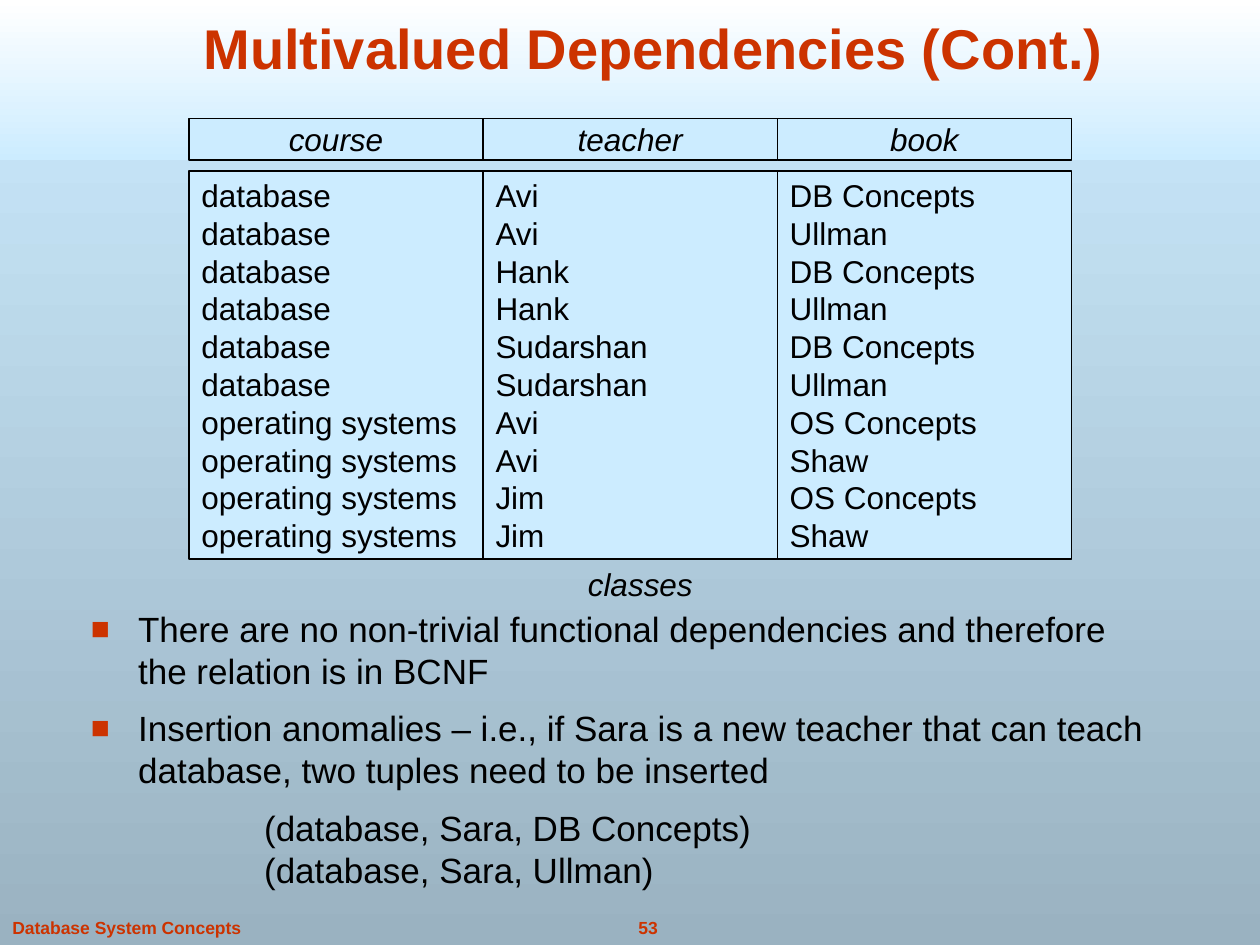
from lxml import etree
from pptx import Presentation
from pptx import util as u
from pptx.dml.color import RGBColor
from pptx.enum import shapes, text
from pptx.oxml.ns import qn

RED = RGBColor(0xCC, 0x33, 0x00)
BLACK = RGBColor(0x00, 0x00, 0x00)
WHITE = RGBColor(0xFF, 0xFF, 0xFF)
PALE_BLUE = RGBColor(0xCC, 0xEC, 0xFF)
GREY_BLUE = RGBColor(0x9A, 0xB2, 0xC1)

FONT = "Arial"
LEFT, CENTER = text.PP_ALIGN.LEFT, text.PP_ALIGN.CENTER
TOP, MIDDLE, BOTTOM = text.MSO_ANCHOR.TOP, text.MSO_ANCHOR.MIDDLE, text.MSO_ANCHOR.BOTTOM

# Relation "classes": each course is taught by every teacher with every book
OFFERINGS = [
    ("database", ["Avi", "Hank", "Sudarshan"], ["DB Concepts", "Ullman"]),
    ("operating systems", ["Avi", "Jim"], ["OS Concepts", "Shaw"]),
]
ATTRIBUTES = ["course", "teacher", "book"]
TUPLES = [(course, teacher, book)
          for course, teachers, books in OFFERINGS
          for teacher in teachers
          for book in books]

TABLE_LEFT, COLUMN_WIDTH = 3.81, 5.93
HEADER_TOP, HEADER_HEIGHT = 2.39, 0.84
ROWS_TOP, ROWS_HEIGHT = 3.45, 7.82

REMARKS = [
    "There are no non-trivial functional dependencies and therefore "
    "the relation is in BCNF",
    "Insertion anomalies – i.e., if Sara is a new teacher that can teach "
    "database, two tuples need to be inserted",
]
NEW_TUPLES = "(database, Sara, DB Concepts)\v(database, Sara, Ullman)"


def write(shape, lines, size=18, color=BLACK, bold=False, italic=False,
          align=LEFT, anchor=TOP, wrap=False, before=0):
    """Fill a shape with one paragraph per line and format it."""
    frame = shape.text_frame
    frame.text = "\n".join(lines)
    frame.auto_size = text.MSO_AUTO_SIZE.NONE
    frame.word_wrap = wrap
    frame.vertical_anchor = anchor
    for paragraph in frame.paragraphs:
        paragraph.alignment = align
        paragraph.space_before = u.Pt(before)
        for run in paragraph.runs:
            font = run.font
            font.name, font.size = FONT, u.Pt(size)
            font.bold, font.italic = bold, italic
            font.color.rgb = color
    return frame


def place(shape, left, top, width, height):
    shape.left, shape.top = u.Cm(left), u.Cm(top)
    shape.width, shape.height = u.Cm(width), u.Cm(height)


def fade_down(fill, upper, lower):
    """Vertical gradient from the upper to the lower colour."""
    fill.gradient()
    fill.gradient_angle = 270
    for stop, color in zip(fill.gradient_stops, (upper, lower)):
        stop.color.rgb = color


def add_box(slide, left, top, width, height):
    box = slide.shapes.add_shape(shapes.MSO_SHAPE.RECTANGLE, u.Cm(left),
                                 u.Cm(top), u.Cm(width), u.Cm(height))
    box.shadow.inherit = False
    return box


def add_cell(slide, column, top, height, lines, **text_format):
    cell = add_box(slide, TABLE_LEFT + column * COLUMN_WIDTH, top,
                   COLUMN_WIDTH, height)
    cell.fill.solid()
    cell.fill.fore_color.rgb = PALE_BLUE
    cell.line.color.rgb = BLACK
    cell.line.width = u.Pt(0.75)
    write(cell, lines, anchor=MIDDLE, **text_format)


def add_label(slide, left, top, width, height, label, **text_format):
    box = slide.shapes.add_textbox(u.Cm(left), u.Cm(top), u.Cm(width), u.Cm(height))
    write(box, [label], **text_format)


def set_indent(paragraph, margin, first_line, bullet=None):
    properties = paragraph._p.get_or_add_pPr()
    properties.set("marL", str(u.Cm(margin)))
    properties.set("indent", str(u.Cm(first_line)))
    if bullet is None:
        etree.SubElement(properties, qn("a:buNone"))
        return
    bullet_color = etree.SubElement(properties, qn("a:buClr"))
    etree.SubElement(bullet_color, qn("a:srgbClr"), val=str(RED))
    etree.SubElement(properties, qn("a:buSzPct"), val="90000")
    etree.SubElement(properties, qn("a:buFont"), typeface=FONT)
    etree.SubElement(properties, qn("a:buChar"), char=bullet)


def add_backdrop(slide):
    fade_down(slide.background.fill, PALE_BLUE, GREY_BLUE)
    band = add_box(slide, 0, 0, 25.4, 3.23)
    fade_down(band.fill, WHITE, PALE_BLUE)
    band.line.fill.background()
    slide.shapes._spTree.insert(2, band._element)  # behind the placeholders


def add_relation(slide):
    for column, (attribute, values) in enumerate(zip(ATTRIBUTES, zip(*TUPLES))):
        add_cell(slide, column, HEADER_TOP, HEADER_HEIGHT, [attribute],
                 italic=True, align=CENTER)
        add_cell(slide, column, ROWS_TOP, ROWS_HEIGHT, values)
    add_label(slide, 11.6, 11.26, 2.62, 1.02, "classes", italic=True)


def fill_remarks(body):
    place(body, 1.58, 12.12, 21.8, 6.42)
    frame = write(body, REMARKS + [NEW_TUPLES], size=20, wrap=True, before=8.8)
    *remarks, new_tuples = frame.paragraphs
    for remark in remarks:
        set_indent(remark, 0.95, -0.95, bullet="■")
    set_indent(new_tuples, 3.49, 0)


def add_footer(slide):
    for label, left, width, align in [("53", 11.96, 2.21, CENTER),
                                      ("Database System Concepts", 0, 5.1, LEFT)]:
        add_label(slide, left, 18.36, width, 0.69, label, size=10, color=RED,
                  bold=True, align=align, before=6.2)


def main():
    deck = Presentation()
    deck.slide_width, deck.slide_height = u.Cm(25.4), u.Cm(19.05)
    slide = deck.slides.add_slide(deck.slide_layouts[1])

    add_backdrop(slide)

    # Title
    title = slide.shapes.title
    place(title, 3.28, 0, 19.79, 1.75)
    write(title, ["Multivalued Dependencies (Cont.)"], size=32, color=RED,
          bold=True, align=CENTER, anchor=BOTTOM, wrap=True)

    # Relation, remarks below it, footer
    add_relation(slide)
    fill_remarks(slide.placeholders[1])
    add_footer(slide)

    deck.save("out.pptx")


if __name__ == "__main__":
    main()
